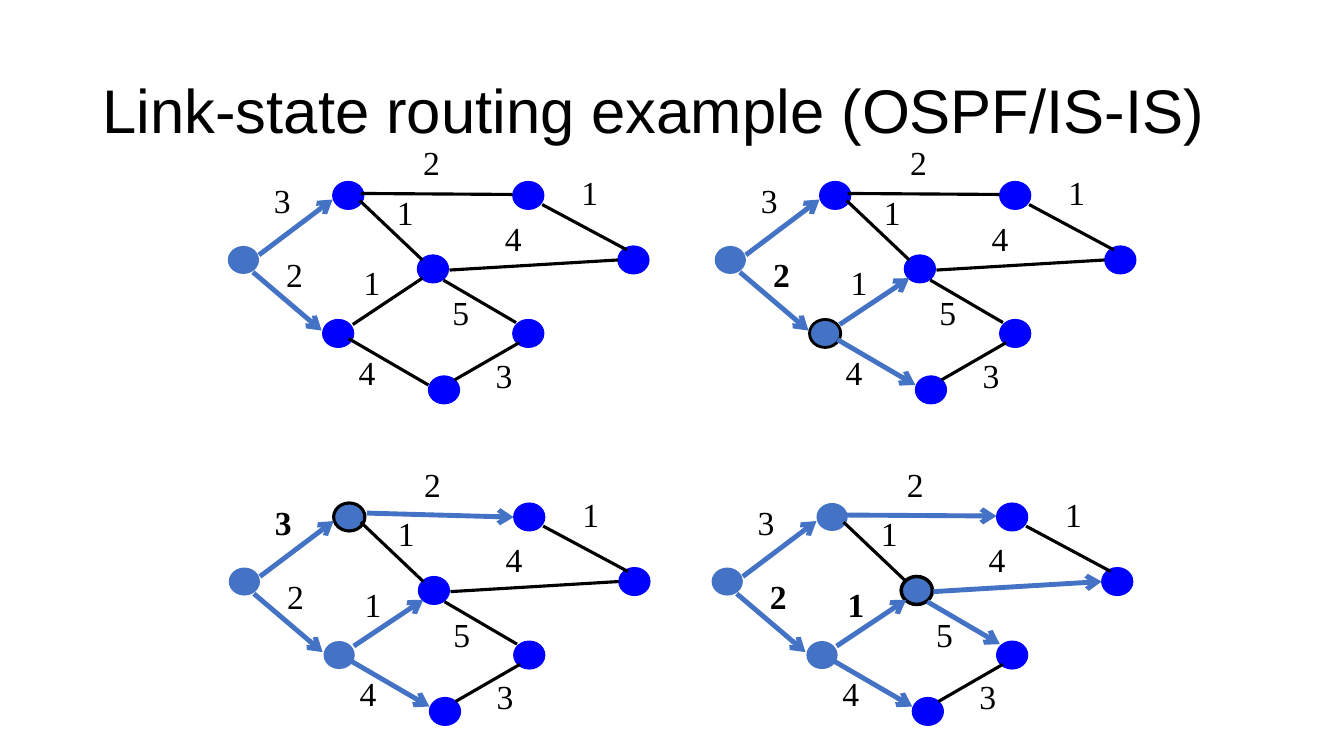
from lxml import etree
from pptx import Presentation
from pptx.dml.color import RGBColor
from pptx.enum.shapes import MSO_CONNECTOR, MSO_SHAPE
from pptx.enum.text import MSO_ANCHOR, MSO_AUTO_SIZE, PP_ALIGN
from pptx.oxml.ns import qn
from pptx.util import Pt

OVAL = MSO_SHAPE.OVAL
STRAIGHT = MSO_CONNECTOR.STRAIGHT
MIDDLE = MSO_ANCHOR.MIDDLE
NO_AUTOFIT = MSO_AUTO_SIZE.NONE
FIT_SHAPE = MSO_AUTO_SIZE.SHAPE_TO_FIT_TEXT
LEFT = PP_ALIGN.LEFT

BLACK = RGBColor(0x00, 0x00, 0x00)
UNVISITED = RGBColor(0x00, 0x00, 0xFF)
VISITED = RGBColor(0x44, 0x72, 0xC4)

NODE_WIDTH, NODE_HEIGHT = 22.3, 20
LABEL_WIDTH, LABEL_HEIGHT = 26.6, 36

NODES = {
    "source": (0, 77.8),
    "southwest": (67.7, 130.3),
    "northwest": (74.9, 31.7),
    "center": (135.4, 84.2),
    "southeast": (203.5, 130.3),
    "northeast": (203.5, 31.7),
    "south": (143.3, 170.6),
    "east": (278.6, 77.8),
}

LINKS = {
    "source-northwest": ((22.3, 84.2, 74.9, 44.6), "3", (25.9, 27.4)),
    "source-southwest": ((18, 96.5, 67, 138.2), "2", (34.6, 79.9)),
    "northwest-center": ((94.3, 45.4, 139, 87.8), "1", (113.8, 35.3)),
    "southwest-south": ((86.4, 144, 143.3, 177.1), "4", (86.4, 149.8)),
    "southwest-center": ((89.3, 133.9, 139, 100.8), "1", (90, 85.7)),
    "center-southeast": ((154.1, 102.2, 205.9, 132.5), "5", (153.4, 107.3)),
    "south-southeast": ((162, 173.5, 208.1, 146.9), "3", (184.3, 151.9)),
    "center-east": ((158.4, 95, 278.6, 87.8), "4", (190.8, 54)),
    "northwest-northeast": ((95, 40.3, 203.5, 41), "2", (132.5, 0)),
    "northeast-east": ((224.6, 48.2, 285.1, 80.6), "1", (245.5, 21.6)),
}

FIRST_ARROWS = ["source-northwest", "source-southwest"]
SECOND_ARROWS = FIRST_ARROWS + ["southwest-south", "southwest-center"]
THIRD_ARROWS = SECOND_ARROWS + ["northwest-northeast"]
FOURTH_ARROWS = THIRD_ARROWS + ["center-southeast", "center-east"]

STEPS = [
    {"origin": (162.7, 97.9), "visited": ["source"], "current": None,
     "outline": 0, "arrows": FIRST_ARROWS, "bold": [], "moved": {}},
    {"origin": (510.5, 97.9), "visited": ["source", "southwest"],
     "current": "southwest", "outline": 2, "arrows": SECOND_ARROWS,
     "bold": ["source-southwest"],
     "moved": {"southwest-south": (87.8, 144.7, 143.3, 177.1)}},
    {"origin": (163.4, 327.6), "visited": ["source", "southwest", "northwest"],
     "current": "northwest", "outline": 2.25, "arrows": THIRD_ARROWS,
     "bold": ["source-northwest"],
     "moved": {"northwest-northeast": (98.6, 38.9, 203.5, 41.8)}},
    {"origin": (508.3, 327.6),
     "visited": ["source", "southwest", "northwest", "center"],
     "current": "center", "outline": 2.5, "arrows": FOURTH_ARROWS,
     "bold": ["source-southwest", "southwest-center"], "moved": {}},
]

presentation = Presentation()
presentation.slide_width = Pt(960)
presentation.slide_height = Pt(540)
slide = presentation.slides.add_slide(presentation.slide_layouts[5])

title = slide.shapes.title
title.left, title.top = Pt(66), Pt(28.8)
title.width, title.height = Pt(828), Pt(104.4)
title_frame = title.text_frame
title_frame.text = "Link-state routing example (OSPF/IS-IS)"
title_frame.auto_size = NO_AUTOFIT
title_frame.vertical_anchor = MIDDLE
title_paragraph = title_frame.paragraphs[0]
title_paragraph.alignment = LEFT
title_paragraph.line_spacing = 0.9
title_paragraph.font.name = "Arial"
title_paragraph.font.size = Pt(44)
title_paragraph.font.color.rgb = BLACK

for step in STEPS:
    left, top = step["origin"]
    graph = slide.shapes.add_group_shape().shapes

    for name, (x, y) in NODES.items():
        node = graph.add_shape(OVAL, Pt(left + x), Pt(top + y), Pt(NODE_WIDTH), Pt(NODE_HEIGHT))
        node.shadow.inherit = False
        visited = name in step["visited"]
        node.fill.solid()
        node.fill.fore_color.rgb = VISITED if visited else UNVISITED
        if name == step["current"]:
            node.line.color.rgb = BLACK
            node.line.width = Pt(step["outline"])
        elif visited:
            node.line.fill.background()
        else:
            node.line.color.rgb = UNVISITED
            node.line.width = Pt(0.75)

    for name, (ends, cost, position) in LINKS.items():
        x1, y1, x2, y2 = step["moved"].get(name, ends)
        link = graph.add_connector(STRAIGHT, Pt(left + x1), Pt(top + y1), Pt(left + x2), Pt(top + y2))
        explored = name in step["arrows"]
        link.line.color.rgb = VISITED if explored else BLACK
        link.line.width = Pt(3.5 if explored else 2.25)
        if explored:
            etree.SubElement(link.line._get_or_add_ln(), qn("a:tailEnd"), type="arrow")
        etree.SubElement(link._element.spPr, qn("a:effectLst"))

    for name, (ends, cost, (x, y)) in LINKS.items():
        label = graph.add_textbox(Pt(left + x), Pt(top + y), Pt(LABEL_WIDTH), Pt(LABEL_HEIGHT))
        label.text_frame.word_wrap = False
        label.text_frame.auto_size = FIT_SHAPE
        label.text_frame.text = cost
        font = label.text_frame.paragraphs[0].runs[0].font
        font.name = "Times New Roman"
        font.size = Pt(24)
        font.bold = name in step["bold"]
        font.color.rgb = BLACK

presentation.save("out.pptx")
